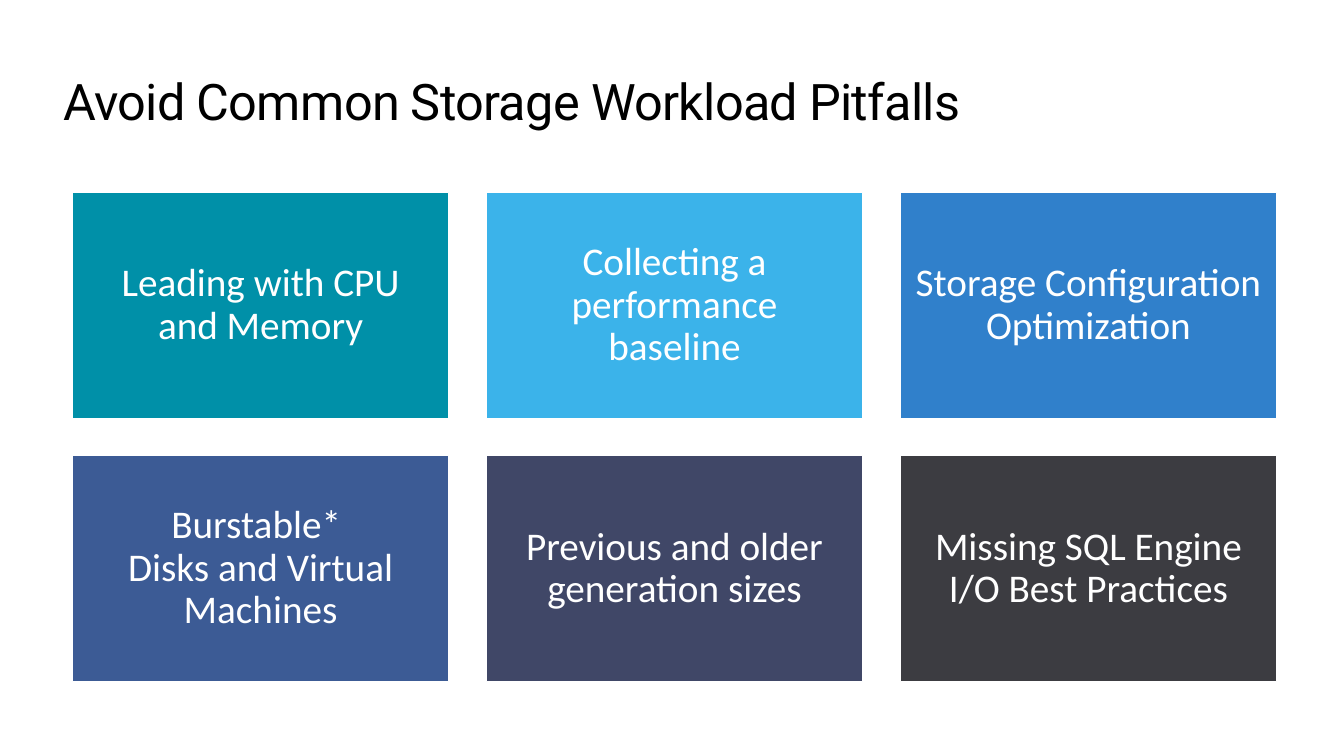
from pptx import Presentation
from pptx.dml.color import RGBColor
from pptx.enum.shapes import MSO_SHAPE
from pptx.enum.text import MSO_ANCHOR, MSO_AUTO_SIZE, PP_ALIGN
from pptx.util import Inches, Pt

COLORS = {
    "white": "FFFFFF",
    "black": "000000",
    "teal": "0090A8",
    "sky": "3BB3EA",
    "blue": "3080CB",
    "navy": "3C5B95",
    "indigo": "404767",
    "charcoal": "3C3C41",
}
PITFALLS = [
    (["Leading with CPU and Memory"], "teal", 0.15),
    (["Collecting a performance baseline"], "sky", 0.15),
    (["Storage Configuration Optimization"], "blue", 0.12),
    (["Burstable* ", "Disks and Virtual Machines"], "navy", 0.12),
    (["Previous and older generation sizes"], "indigo", 0.12),
    (["Missing SQL Engine I/O Best Practices"], "charcoal", 0.12),
]
COLUMNS = 3
CARD_WIDTH, CARD_HEIGHT = 3.73, 2.24
LEFT, TOP = 0.72, 1.91
COLUMN_STEP, ROW_STEP = 4.105, 2.61


def color(name):
    return RGBColor.from_string(COLORS[name])


def add_span(para, text, font_name, size, color_name):
    span = para.add_run()
    span.text = text
    span.font.name = font_name
    span.font.size = Pt(size)
    span.font.color.rgb = color(color_name)
    return span


deck = Presentation()
deck.slide_width = Inches(13.33)
deck.slide_height = Inches(7.5)
page = deck.slides.add_slide(deck.slide_layouts[5])
page.background.fill.solid()
page.background.fill.fore_color.rgb = color("white")

title = page.shapes.title
title.left, title.top = Inches(0.63), Inches(0.52)
title.width, title.height = Inches(12.05), Inches(0.61)
frame = title.text_frame
frame.auto_size = MSO_AUTO_SIZE.NONE
frame.word_wrap = True
frame.vertical_anchor = MSO_ANCHOR.TOP
frame.margin_left = frame.margin_right = frame.margin_bottom = 0
frame.margin_top = Inches(0.18)
para = frame.paragraphs[0]
para.alignment = PP_ALIGN.LEFT
span = add_span(para, "Avoid Common Storage Workload Pitfalls", "Roboto", 36, "black")
span.font._element.set("spc", "-50")

for index, (lines, fill_name, inset) in enumerate(PITFALLS):
    row, column = divmod(index, COLUMNS)
    card = page.shapes.add_shape(
        MSO_SHAPE.RECTANGLE,
        Inches(LEFT + column * COLUMN_STEP),
        Inches(TOP + row * ROW_STEP),
        Inches(CARD_WIDTH),
        Inches(CARD_HEIGHT),
    )
    card.shadow.inherit = False
    card.fill.solid()
    card.fill.fore_color.rgb = color(fill_name)
    card.line.color.rgb = color("white")
    card.line.width = Pt(0.85)
    frame = card.text_frame
    frame.word_wrap = True
    frame.vertical_anchor = MSO_ANCHOR.MIDDLE
    frame.margin_left = frame.margin_right = Inches(inset)
    frame.margin_top = frame.margin_bottom = Inches(inset)
    para = frame.paragraphs[0]
    para.alignment = PP_ALIGN.CENTER
    para.line_spacing = 0.9
    for number, line in enumerate(lines):
        if number:
            para.add_line_break()
        add_span(para, line, "Calibri", 28, "white")

deck.save("out.pptx")
